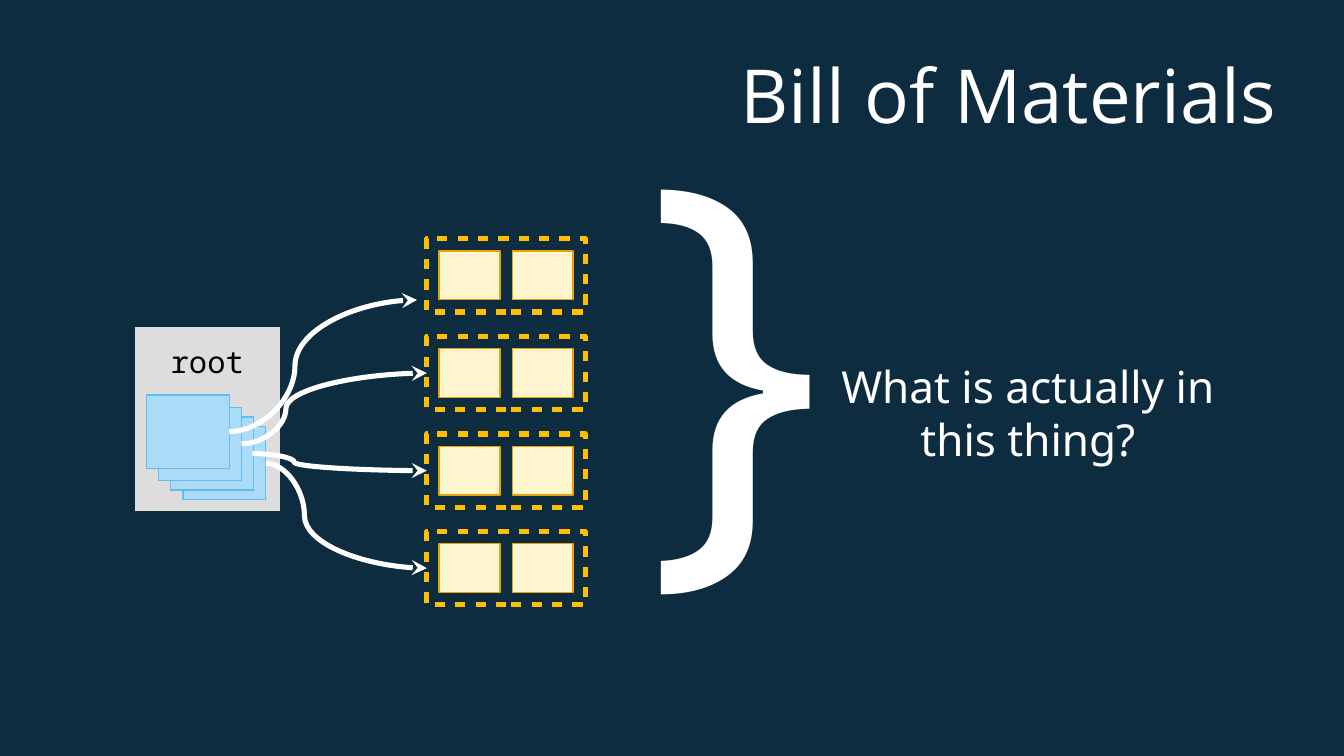
from pptx import Presentation
from pptx.dml.color import RGBColor
from pptx.enum.shapes import MSO_CONNECTOR, MSO_SHAPE
from pptx.enum.text import MSO_ANCHOR, PP_ALIGN
from pptx.oxml.ns import qn
from pptx.util import Inches, Pt
from lxml import etree

RECT = MSO_SHAPE.RECTANGLE
CURVE = MSO_CONNECTOR.CURVE
TOP, MIDDLE = MSO_ANCHOR.TOP, MSO_ANCHOR.MIDDLE
LEFT, CENTER, RIGHT = PP_ALIGN.LEFT, PP_ALIGN.CENTER, PP_ALIGN.RIGHT


class Theme:
    navy = RGBColor.from_string("0D2C40")
    white = RGBColor.from_string("FFFFFF")
    black = RGBColor.from_string("000000")
    grey = RGBColor.from_string("DDDDDD")
    blue, blue_line = RGBColor.from_string("AADCF7"), RGBColor.from_string("63BBEE")
    cream, cream_line = RGBColor.from_string("FFF5CE"), RGBColor.from_string("E8A202")
    amber = RGBColor.from_string("FFBF00")
    title_font, body_font, mono_font = "Open Sans", "Noto Sans", "Noto Sans Mono"
    title_size, body_size, root_size, brace_size = 44, 26, 18, 274.1
    hairline, stroke = Pt(0), Pt(3)


def add_rect(x, y, w, h, fill, line, width=Theme.hairline):
    sp = s.shapes.add_shape(RECT, Inches(x), Inches(y), Inches(w), Inches(h))
    sp.shadow.inherit = False
    if fill is None:
        sp.fill.background()
    else:
        sp.fill.solid()
        sp.fill.fore_color.rgb = fill
    sp.line.color.rgb = line
    sp.line.width = width
    return sp


def write(sp, text, font, size, color, align, anchor=TOP, wrap=False):
    tf = sp.text_frame
    tf.text = text
    tf.word_wrap = wrap
    tf.vertical_anchor = anchor
    for p in tf.paragraphs:
        p.alignment = align
        for r in p.runs:
            r.font.name = font
            r.font.size = Pt(size)
            r.font.color.rgb = color
    return tf


prs = Presentation()
prs.slide_width, prs.slide_height = Inches(11.02), Inches(6.2)
s = prs.slides.add_slide(prs.slide_layouts[6])
s.background.fill.solid()
s.background.fill.fore_color.rgb = Theme.navy

# Title
title = s.shapes.add_textbox(Inches(0.55), Inches(0.25), Inches(9.92), Inches(1.04))
tf = write(title, "Bill of Materials", Theme.title_font, Theme.title_size,
           Theme.white, RIGHT, MIDDLE, True)
tf.margin_left = tf.margin_right = tf.margin_top = tf.margin_bottom = 0

# Root box with its stack of cards, back to front
root = add_rect(1.1, 2.68, 1.2, 1.52, Theme.grey, Theme.navy)
tf = write(root, "root", Theme.mono_font, Theme.root_size, Theme.black, CENTER)
tf.margin_top = Inches(0.13)
for x, y in [(1.5, 3.5), (1.4, 3.42), (1.3, 3.34), (1.2, 3.24)]:
    add_rect(x, y, 0.68, 0.6, Theme.blue, Theme.blue_line)

# Dashed groups of two items
for row in range(4):
    y = 1.96 + 0.8 * row
    for x in (3.6, 4.2):
        add_rect(x, y + 0.1, 0.5, 0.4, Theme.cream, Theme.cream_line)
    group = add_rect(3.5, y, 1.3, 0.6, None, Theme.amber, Theme.stroke)
    ln = group._element.spPr.find(qn("a:ln"))
    dash = etree.SubElement(ln, qn("a:custDash"))
    etree.SubElement(dash, qn("a:ds"), d="200000", sp="200000")

# Curved arrows from cards to groups: start, end, bend position
arrows = [
    ((1.88, 3.54), (3.42, 2.46), 0.35),
    ((1.98, 3.64), (3.5, 3.06), 0.24),
    ((2.07, 3.72), (3.5, 3.86), 0.24),
    ((2.18, 3.8), (3.5, 4.66), 0.24),
]
for start, end, bend in arrows:
    arrow = s.shapes.add_connector(CURVE, *map(Inches, start + end))
    arrow.line.color.rgb = Theme.white
    arrow.line.width = Theme.stroke
    sp_pr = arrow._element.spPr
    etree.SubElement(sp_pr.find(qn("a:ln")), qn("a:tailEnd"), type="stealth")
    etree.SubElement(sp_pr, qn("a:effectLst"))
    guides = sp_pr.find(qn("a:prstGeom")).find(qn("a:avLst"))
    etree.SubElement(guides, qn("a:gd"), name="adj1", fmla=f"val {round(bend * 100000)}")

# Brace and question
brace = s.shapes.add_textbox(Inches(5.2), Inches(0.42), Inches(1.64), Inches(5.28))
write(brace, "}", Theme.body_font, Theme.brace_size, Theme.white, LEFT)
question = s.shapes.add_textbox(Inches(6.8), Inches(2.9), Inches(3.26), Inches(1.09))
write(question, "What is actually in\nthis thing?", Theme.body_font, Theme.body_size,
      Theme.white, CENTER)

prs.save("out.pptx")
